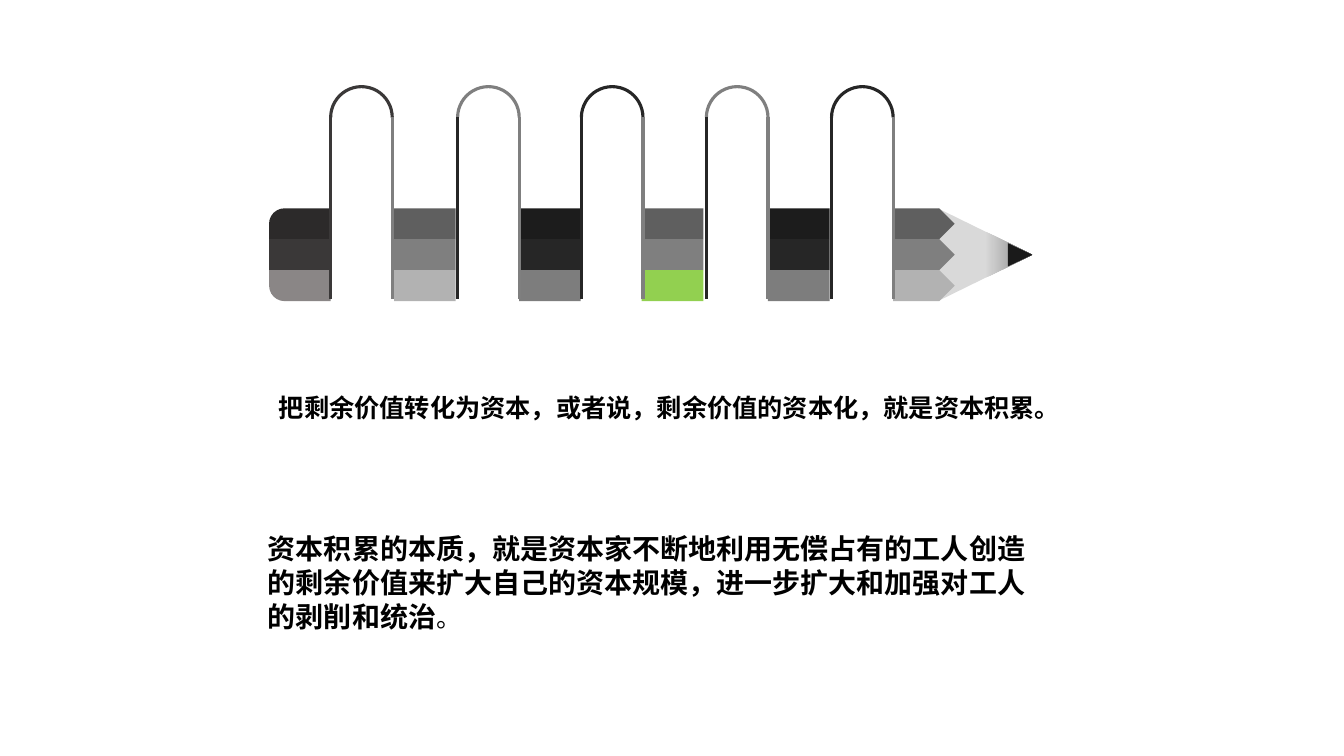
from dataclasses import dataclass

from lxml.etree import SubElement
from pptx import Presentation
from pptx.dml.color import RGBColor
from pptx.enum.shapes import MSO_CONNECTOR, MSO_SHAPE
from pptx.oxml.ns import qn
from pptx.util import Pt

FONT = "Noto Sans CJK SC"
COLOURS = {
    "black": "000000", "lead": "1A1A1A", "ink": "1C1C1C", "dark": "262626",
    "eraser_top": "2C2A2A", "eraser": "3A3838", "eraser_low": "8A8686",
    "deep_grey": "5F5F5F", "grey": "7F7F7F", "mid_grey": "7D7D7D",
    "light_grey": "B2B2B2", "wood": "D9D9D9", "wood_shade": "808080",
    "green": "92D050",
}
BAND_TOP, BAND_WIDTH, BAND_HEIGHT = 148.8, 44, 22.1
HOOP_TOP, HOOP_SIZE, HOOP_BOTTOM = 61.9, 44, 213.8


@dataclass
class Segment:
    left: float
    bands: tuple[str, str, str]
    outline: MSO_SHAPE = MSO_SHAPE.RECTANGLE


@dataclass
class Hoop:
    left: float
    arch: str
    left_leg: str
    right_leg: str = "grey"


@dataclass
class Span:
    text: str
    size: float
    bold: bool = True


SEGMENTS = [
    Segment(281.5, ("deep_grey", "grey", "light_grey")),
    Segment(370.8, ("ink", "dark", "mid_grey")),
    Segment(458.4, ("deep_grey", "grey", "green")),
    Segment(548.6, ("ink", "dark", "mid_grey")),
    Segment(638, ("deep_grey", "grey", "light_grey"), MSO_SHAPE.PENTAGON),
]
HOOPS = [
    Hoop(236.2, "eraser", "eraser"),
    Hoop(326.9, "grey", "dark"),
    Hoop(415.3, "dark", "dark"),
    Hoop(504.6, "grey", "dark"),
    Hoop(594, "dark", "dark"),
]


def colour(name: str) -> RGBColor:
    return RGBColor.from_string(COLOURS[name])


def add_solid(page, outline, left: float, top: float, width: float,
              height: float, fill: str, turn: int = 0):
    """Place a filled shape by its visible bounds, turned clockwise."""
    if turn % 180:
        left += (width - height) / 2
        top += (height - width) / 2
        width, height = height, width
    shape = page.shapes.add_shape(outline, Pt(left), Pt(top), Pt(width), Pt(height))
    shape.rotation = turn
    shape.shadow.inherit = False
    shape.line.fill.background()
    shape.fill.solid()
    shape.fill.fore_color.rgb = colour(fill)
    return shape


def add_segment(page, segment: Segment) -> None:
    for row, fill in enumerate(segment.bands):
        add_solid(page, segment.outline, segment.left, BAND_TOP + row * BAND_HEIGHT,
                  BAND_WIDTH, BAND_HEIGHT, fill)


def add_eraser(page, left: float) -> None:
    parts = [
        (MSO_SHAPE.ROUND_1_RECTANGLE, "eraser_top", 270),
        (MSO_SHAPE.RECTANGLE, "eraser", 0),
        (MSO_SHAPE.ROUND_1_RECTANGLE, "eraser_low", 180),
    ]
    for row, (outline, fill, turn) in enumerate(parts):
        band = add_solid(page, outline, left, BAND_TOP + row * BAND_HEIGHT,
                         BAND_WIDTH, BAND_HEIGHT, fill, turn)
        if turn:
            band.adjustments[0] = 0.5


def add_point(page) -> None:
    wood = add_solid(page, MSO_SHAPE.ISOSCELES_TRIANGLE, 669.9, BAND_TOP,
                     67.5, 3 * BAND_HEIGHT, "wood", 90)
    wood.fill.gradient()
    wood.fill.gradient_angle = 90
    stops = [("wood", 0.5), ("wood_shade", 1)]
    for stop, (name, position) in zip(wood.fill.gradient_stops, stops):
        stop.color.rgb = colour(name)
        stop.position = position
    add_solid(page, MSO_SHAPE.ISOSCELES_TRIANGLE, 720, 173.7, 17.4, 16.6, "lead", 90)


def add_hoop(page, hoop: Hoop) -> None:
    arch = page.shapes.add_shape(MSO_SHAPE.ARC, Pt(hoop.left), Pt(HOOP_TOP),
                                 Pt(HOOP_SIZE), Pt(HOOP_SIZE))
    arch.adjustments[0] = 108  # half a turn, in units of 100000/60000 degree
    arch.adjustments[1] = 0
    arch.shadow.inherit = False
    arch.fill.background()
    arch.line.color.rgb = colour(hoop.arch)
    arch.line.width = Pt(2.25)
    legs = [(hoop.left, hoop.left_leg), (hoop.left + HOOP_SIZE, hoop.right_leg)]
    for x, name in legs:
        leg = page.shapes.add_connector(
            MSO_CONNECTOR.STRAIGHT, Pt(x), Pt(HOOP_TOP + HOOP_SIZE / 2),
            Pt(x), Pt(HOOP_BOTTOM))
        leg.line.color.rgb = colour(name)
        leg.line.width = Pt(2.25)
        SubElement(leg._element.spPr, qn("a:effectLst"))


def add_text(page, left: float, top: float, width: float, height: float,
             spans: list[Span]) -> None:
    box = page.shapes.add_textbox(Pt(left), Pt(top), Pt(width), Pt(height))
    box.text_frame.word_wrap = True
    para = box.text_frame.paragraphs[0]
    for span in spans:
        run = para.add_run()
        run.text = span.text
        run.font.name = FONT
        run.font.size = Pt(span.size)
        run.font.bold = span.bold
        run.font.color.rgb = colour("black")
        SubElement(run.font._element, qn("a:ea")).set("typeface", FONT)


def main() -> None:
    deck = Presentation()
    deck.slide_width, deck.slide_height = Pt(960), Pt(540)
    page = deck.slides.add_slide(deck.slide_layouts[6])

    # Pencil
    add_eraser(page, 192.2)
    add_point(page)
    for segment in SEGMENTS:
        add_segment(page, segment)
    for hoop in HOOPS:
        add_hoop(page, hoop)

    # Statements
    add_text(page, 184.3, 376.4, 557.3, 80, [
        Span("资本积累的本质，就是资本家不断地利用无偿占有的工人创造的剩余价值来扩大自己的资本规模，"
             "进一步扩大和加强对工人的剥削和统治", 20),
        Span("。", 18, bold=False),
    ])
    add_text(page, 192.2, 276.5, 586.8, 29, [
        Span("把剩余价值转化为资本，或者说，剩余价值的资本化，就是资本积累。", 18),
    ])

    deck.save("out.pptx")


if __name__ == "__main__":
    main()
